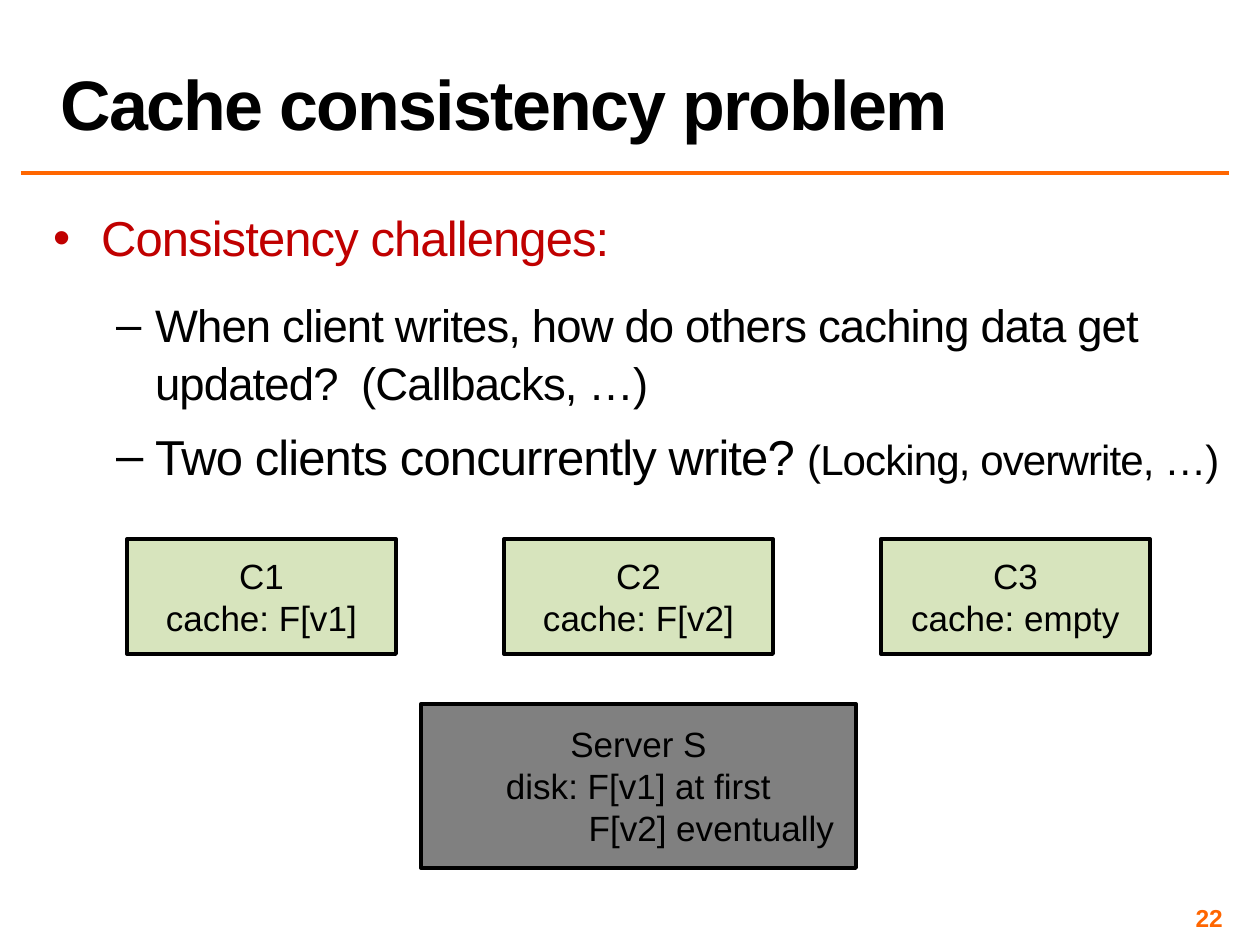
"""Build the slide on the cache consistency problem."""
from dataclasses import dataclass

from pptx import Presentation
from pptx import util as u
from pptx.dml.color import RGBColor
from pptx.enum import shapes, text
from pptx.oxml.ns import qn
from lxml import etree


@dataclass(frozen=True)
class Theme:
    font: str = "Arial"
    ink: str = "000000"
    accent: str = "FF6600"
    heading: str = "C00000"
    client: str = "D7E4BD"
    server: str = "808080"
    title_size: int = 40
    large: int = 28
    medium: int = 26
    small: int = 24
    label: int = 20
    number: int = 14


theme = Theme()
PX = u.Inches(1) // 126


def px(*lengths):
    return [length * PX for length in lengths]


def write(para, words, size, color=theme.ink, bold=False, spacing=0, align=None,
          before=0, after=0, leading=None, left=0, hanging=0, bullet=None):
    span = para.add_run()
    span.text = words
    span.font.name, span.font.size, span.font.bold = theme.font, u.Pt(size), bold
    span.font.color.rgb = RGBColor.from_string(color)
    if spacing:
        span.font._element.set("spc", str(spacing))
    para.alignment = align
    para.space_before, para.space_after = u.Pt(before), u.Pt(after)
    para.line_spacing = leading
    props = para._p.get_or_add_pPr()
    props.set("marL", str(left * PX))
    props.set("indent", str(-hanging * PX))
    if bullet:
        etree.SubElement(props, qn("a:buFont")).set("typeface", theme.font)
        etree.SubElement(props, qn("a:buChar")).set("char", bullet)


deck = Presentation()
deck.slide_width, deck.slide_height = u.Inches(10), u.Inches(7.5)
page = deck.slides.add_slide(deck.slide_layouts[5])

title = page.shapes.title
title.left, title.top, title.width, title.height = px(48, 3, 1180, 147)
title.text_frame.auto_size = text.MSO_AUTO_SIZE.NONE
title.text_frame.vertical_anchor = text.MSO_ANCHOR.BOTTOM
write(title.text_frame.paragraphs[0], "Cache consistency problem", theme.title_size,
      bold=True, spacing=-100, align=text.PP_ALIGN.LEFT, leading=0.8)

rule = page.shapes.add_connector(shapes.MSO_CONNECTOR.STRAIGHT, *px(21, 173, 1229, 173))
rule.line.color.rgb = RGBColor.from_string(theme.accent)
rule.line.width = u.Pt(2)
etree.SubElement(rule._element.spPr, qn("a:effectLst"))

body = page.shapes.add_textbox(*px(48, 200, 1180, 691)).text_frame
number = page.shapes.add_textbox(*px(935, 903, 293, 29)).text_frame
for frame in (body, number):
    frame.word_wrap = True
    frame.margin_left = frame.margin_right = frame.margin_top = frame.margin_bottom = 5 * PX

number.vertical_anchor = text.MSO_ANCHOR.MIDDLE
write(number.paragraphs[0], "22", theme.number, color=theme.accent, bold=True,
      align=text.PP_ALIGN.RIGHT)

write(body.paragraphs[0], "Consistency challenges:", theme.large, color=theme.heading,
      spacing=-50, before=24, after=8, leading=1.05, left=48, hanging=48, bullet="•")
challenges = [
    [("When client writes, how do others caching data get updated?  (Callbacks, …)",
      theme.medium)],
    [("Two clients concurrently write? ", theme.large),
     ("(Locking, overwrite, …)", theme.small)],
]
for challenge in challenges:
    para = body.add_paragraph()
    para.level = 1
    for position, (words, size) in enumerate(challenge):
        write(para, words, size, spacing=-50, before=8, leading=1.05, left=102,
              hanging=39, bullet="–" if position == 0 else None)

clients = ["cache: F[v1]", "cache: F[v2]", "cache: empty"]
machines = [((127 + 377 * index, 539, 269, 115), theme.client,
             [(f"C{index + 1}", 0), (cache, 0)])
            for index, cache in enumerate(clients)]
machines.append(((421, 704, 435, 164), theme.server,
                 [("Server S", 0), ("disk: F[v1] at first", 0),
                  ("F[v2] eventually", 146)]))

for place, fill, lines in machines:
    box = page.shapes.add_shape(shapes.MSO_SHAPE.RECTANGLE, *px(*place))
    box.shadow.inherit = False
    box.fill.solid()
    box.fill.fore_color.rgb = RGBColor.from_string(fill)
    box.line.color.rgb = RGBColor.from_string(theme.ink)
    box.line.width = u.Pt(2.25)
    frame = box.text_frame
    frame.vertical_anchor = text.MSO_ANCHOR.MIDDLE
    for position, (words, left) in enumerate(lines):
        para = frame.add_paragraph() if position else frame.paragraphs[0]
        write(para, words, theme.label, align=text.PP_ALIGN.CENTER, left=left)

deck.save("out.pptx")
